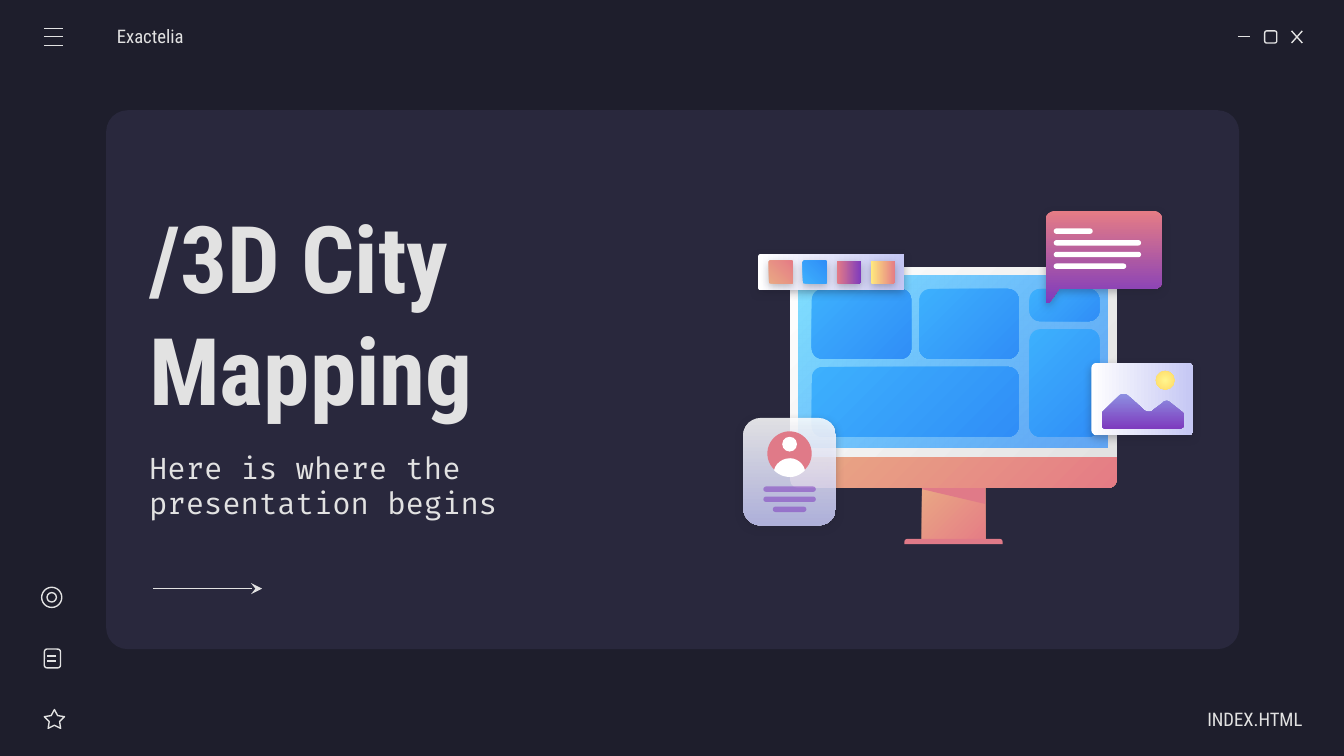
"""Build the title slide of a 3D city mapping deck, styled as a dark app window."""
import pptx
import pptx.dml.color
import pptx.enum.shapes
import pptx.enum.text
import pptx.oxml.ns
import pptx.util
from lxml import etree

Inches = pptx.util.Inches
qn = pptx.oxml.ns.qn
FORM = pptx.enum.shapes.MSO_SHAPE
ALIGN = pptx.enum.text.PP_ALIGN
RECT, ROUND, OVAL = FORM.RECTANGLE, FORM.ROUNDED_RECTANGLE, FORM.OVAL
CAP, STAR = FORM.ROUND_2_SAME_RECTANGLE, FORM.STAR_5_POINT
LINE, OUTLINE = "line", "outline"

THEME = {
    "background": "1E1E2C", "ink": "E2E2E2", "hairline": 0.75,
    "heading": "Roboto Condensed", "code": "Fira Code",
    "title": 50, "subtitle": 16, "label": 10,
    "fills": {
        "panel": (None, ("29283D", 100)),
        "white": (None, ("FFFFFF", 100)),
        "rose": (None, ("E07A88", 100)),
        "violet": (None, ("7E3BBE", 54)),
        "coral": (45, ("E9A984", 100), ("E57C85", 100)),
        "frame": (45, ("FFFFFF", 100), ("E2E2E2", 100)),
        "screen": (45, ("80DFFF", 100), ("318FFA", 72)),
        "blue": (45, ("3DB0FD", 100), ("308EF7", 100)),
        "dusk": (90, ("E57C85", 100), ("7E3BBE", 100)),
        "frost": (90, ("FFFFFF", 86), ("C5C7F4", 86)),
        "paper": (0, ("FFFFFF", 100), ("C5C7F4", 100)),
        "hills": (90, ("8D90E1", 100), ("7E3BBE", 100)),
        "sun": ("radial", ("FFF68E", 100), ("FFD966", 100)),
        "coral swatch": (315, ("E9A984", 100), ("E57C85", 100)),
        "blue swatch": (315, ("3DB0FD", 100), ("308EF7", 100)),
        "dusk swatch": (0, ("E57C85", 100), ("7E3BBE", 100)),
        "gold swatch": (0, ("FFEA7D", 100), ("E57C85", 100)),
    },
}
TITLE = ("/3D City Mapping", (1.01, 1.44, 4.47, 1.76))
SUBTITLE = ("Here is where the presentation begins", (1.01, 3.38, 3.24, 0.46))
LABELS = [
    ("Exactelia", (0.87, 0.12, 1.17, 0.3), ALIGN.LEFT, (0, 0.1)),
    ("INDEX.HTML", (8.52, 5.2, 1.17, 0.3), ALIGN.RIGHT, (0.1, 0)),
]
PANEL = (ROUND, (0.79, 0.82, 8.43, 4.01), "panel", (0.16,))
ARROW = (LINE, (1.14, 4.38, 1.95, 4.38))

STAND_SHADE = [(6.86, 3.61), (6.86, 3.64), (7.33, 3.75), (7.33, 3.61)]
TILES = [(6.04, 2.15, 0.74, 0.52), (6.04, 2.73, 1.54, 0.52), (6.84, 2.15, 0.74, 0.52),
         (7.66, 2.15, 0.52, 0.24), (7.66, 2.45, 0.52, 0.8)]
BUBBLE = [(7.85, 1.57), ((7.81, 1.57), (7.78, 1.6), (7.78, 1.64)), (7.78, 2.24),
          ((7.78, 2.25), (7.8, 2.26), (7.81, 2.25)), (7.88, 2.15), (8.59, 2.15),
          ((8.62, 2.15), (8.65, 2.12), (8.65, 2.09)), (8.65, 1.64),
          ((8.65, 1.6), (8.62, 1.57), (8.59, 1.57))]
MESSAGE_WIDTHS = [0.29, 0.65, 0.65, 0.54]
TORSO = [(5.88, 3.41), ((5.82, 3.41), (5.77, 3.45), (5.76, 3.5)),
         ((5.79, 3.53), (5.83, 3.55), (5.88, 3.55)),
         ((5.92, 3.55), (5.96, 3.53), (5.99, 3.5)),
         ((5.98, 3.45), (5.93, 3.41), (5.88, 3.41))]
PROFILE_BARS = [(5.68, 0.39), (5.68, 0.39), (5.75, 0.25)]
HILLS = [(8.36, 2.93), ((8.35, 2.93), (8.34, 2.93), (8.33, 2.94)), (8.21, 3.06),
         ((8.2, 3.07), (8.2, 3.07), (8.2, 3.08)), (8.2, 3.16),
         ((8.2, 3.18), (8.21, 3.19), (8.23, 3.19)), (8.77, 3.19),
         ((8.79, 3.19), (8.81, 3.18), (8.81, 3.16)), (8.81, 3.09),
         ((8.81, 3.08), (8.8, 3.07), (8.8, 3.07)), (8.7, 2.99),
         ((8.69, 2.98), (8.66, 2.98), (8.65, 3)), (8.57, 3.06),
         ((8.56, 3.07), (8.53, 3.07), (8.51, 3.05)), (8.39, 2.94),
         ((8.38, 2.93), (8.37, 2.93), (8.36, 2.93))]
SWATCHES = ["coral swatch", "blue swatch", "dusk swatch", "gold swatch"]

GROUPS = {
    "window buttons": [
        (LINE, (9.21, 0.27, 9.3, 0.27)), (ROUND, (9.41, 0.23, 0.09, 0.09)),
        (LINE, (9.61, 0.23, 9.69, 0.32)), (LINE, (9.69, 0.23, 9.61, 0.32))],
    "computer": [
        (RECT, (6.86, 3.61, 0.47, 0.43), "coral"),
        (CAP, (6.73, 4.01, 0.73, 0.04), "rose", (0.02, 0)),
        (OUTLINE, STAND_SHADE, "rose"),
        (CAP, (5.88, 3.39, 2.43, 0.24), "coral", (0, 0.06)),
        (CAP, (5.88, 1.99, 2.43, 1.41), "frame", (0.06, 0)),
        (RECT, (5.94, 2.05, 2.3, 1.28), "screen"),
        *[(ROUND, tile, "blue", (0.08,)) for tile in TILES]],
    "message": [
        (OUTLINE, BUBBLE, "dusk", (), True),
        *[(ROUND, (7.84, 1.7 + 0.087 * row, width, 0.04), "white", (0.02,))
          for row, width in enumerate(MESSAGE_WIDTHS)]],
    "menu": [(LINE, (0.33, y, 0.47, y)) for y in (0.21, 0.27, 0.34)],
    "profile": [
        (ROUND, (5.53, 3.11, 0.69, 0.8), "frost", (0.13,), True),
        (OVAL, (5.71, 3.21, 0.33, 0.33), "rose"),
        (OVAL, (5.82, 3.25, 0.11, 0.11), "white"),
        (OUTLINE, TORSO, "white"),
        *[(ROUND, (left, 3.62 + 0.075 * row, width, 0.04), "violet", (0.02,))
          for row, (left, width) in enumerate(PROFILE_BARS)]],
    "photo": [
        (ROUND, (8.12, 2.7, 0.76, 0.54), "paper", (0.04,), True),
        (OUTLINE, HILLS, "hills"), (OVAL, (8.6, 2.76, 0.14, 0.14), "sun")],
    "palette": [
        (ROUND, (5.64, 1.89, 1.09, 0.27), "paper", (0.02,), True),
        *[(ROUND, (5.72 + 0.253 * column, 1.94, 0.18, 0.17), fill, (0.01,), True)
          for column, fill in enumerate(SWATCHES)]],
    "side icons": [
        (STAR, (0.33, 5.28, 0.15, 0.14), None, (0.036,)), (ROUND, (0.33, 4.83, 0.12, 0.14)),
        (LINE, (0.35, 4.88, 0.42, 4.88)), (LINE, (0.35, 4.92, 0.42, 4.92)),
        (OVAL, (0.31, 4.37, 0.15, 0.15)), (OVAL, (0.35, 4.41, 0.07, 0.07))],
}


def rgb(colour):
    return pptx.dml.color.RGBColor.from_string(colour)


def sub(parent, tag, **attributes):
    return etree.SubElement(parent, qn(tag), {k: str(v) for k, v in attributes.items()})


def paint(shape, angle, *stops):
    shape.line.fill.background()
    if angle is None:
        shape.fill.solid()
        shape.fill.fore_color.rgb = rgb(stops[0][0])
    else:
        shape.fill.gradient()
        for stop, (colour, _) in zip(shape.fill.gradient_stops, stops):
            stop.color.rgb = rgb(colour)
        if angle == "radial":
            linear = shape._element.spPr.find(".//" + qn("a:lin"))
            gradient = linear.getparent()
            gradient.remove(linear)
            centre = dict.fromkeys("ltrb", 50000)
            sub(sub(gradient, "a:path", path="circle"), "a:fillToRect", **centre)
        else:
            shape.fill.gradient_angle = -angle % 360
    for colour, (_, opacity) in zip(shape._element.spPr.xpath(".//a:srgbClr"), stops):
        if opacity < 100:
            sub(colour, "a:alpha", val=opacity * 1000)


def trace(canvas, outline, steps=6):
    points = [outline[0]]
    for part in outline[1:]:
        if not isinstance(part[0], tuple):
            points.append(part)
            continue
        curve = (points[-1], *part)
        for t in (step / steps for step in range(1, steps + 1)):
            weights = ((1 - t) ** 3, 3 * t * (1 - t) ** 2, 3 * t * t * (1 - t), t ** 3)
            points.append([sum(w * p[axis] for w, p in zip(weights, curve)) for axis in (0, 1)])
    start, *rest = [(Inches(x), Inches(y)) for x, y in points]
    builder = canvas.build_freeform(*start)
    builder.add_line_segments(rest, close=True)
    return builder.convert_to_shape()


def draw(canvas, form, place, fill=None, radii=(), shadow=False):
    if form == LINE:
        straight = pptx.enum.shapes.MSO_CONNECTOR.STRAIGHT
        shape = canvas.add_connector(straight, *map(Inches, place))
    elif form == OUTLINE:
        shape = trace(canvas, place)
    else:
        shape = canvas.add_shape(form, *map(Inches, place))
        for index, radius in enumerate(radii):
            shape.adjustments[index] = radius / min(place[2:])
    if fill:
        paint(shape, *THEME["fills"][fill])
    else:
        shape.line.color.rgb = rgb(THEME["ink"])
        shape.line.width = pptx.util.Pt(THEME["hairline"])
        if form != LINE:
            shape.fill.background()
    effects = sub(shape._element.spPr, "a:effectLst")
    if shadow:
        cast = sub(effects, "a:outerShdw", blurRad=57150, dist=19050, dir=5400000, rotWithShape=0)
        sub(sub(cast, "a:srgbClr", val=THEME["background"]), "a:alpha", val=30000)
    return shape


def write(holder, text, box, font, size, align=ALIGN.LEFT, sides=(0.1, 0.1), bold=False):
    holder.left, holder.top, holder.width, holder.height = map(Inches, box)
    frame = holder.text_frame
    frame.text, frame.word_wrap = text, True
    frame.auto_size = pptx.enum.text.MSO_AUTO_SIZE.NONE
    frame.vertical_anchor = pptx.enum.text.MSO_ANCHOR.MIDDLE
    frame.margin_left, frame.margin_right = map(Inches, sides)
    frame.margin_top = frame.margin_bottom = Inches(0.1)
    line = frame.paragraphs[0]
    line.alignment, line.space_before = align, 0
    line.font.name, line.font.size = THEME[font], pptx.util.Pt(THEME[size])
    line.font.bold, line.font.color.rgb = bold, rgb(THEME["ink"])


deck = pptx.Presentation()
deck.slide_width, deck.slide_height = Inches(10), Inches(10) * 9 // 16
slide = deck.slides.add_slide(deck.slide_layouts[0])
slide.background.fill.solid()
slide.background.fill.fore_color.rgb = rgb(THEME["background"])
canvas = slide.shapes
canvas._spTree.insert(2, draw(canvas, *PANEL)._element)
write(canvas.title, *TITLE, "heading", "title", bold=True)
write(slide.placeholders[1], *SUBTITLE, "code", "subtitle")
for text, box, align, sides in LABELS:
    write(canvas.add_textbox(0, 0, 0, 0), text, box, "heading", "label", align, sides)
for parts in GROUPS.values():
    group = canvas.add_group_shape().shapes
    for part in parts:
        draw(group, *part)
arrow = draw(canvas, *ARROW)
sub(arrow._element.spPr.find(qn("a:ln")), "a:tailEnd", type="stealth")
deck.save("out.pptx")
